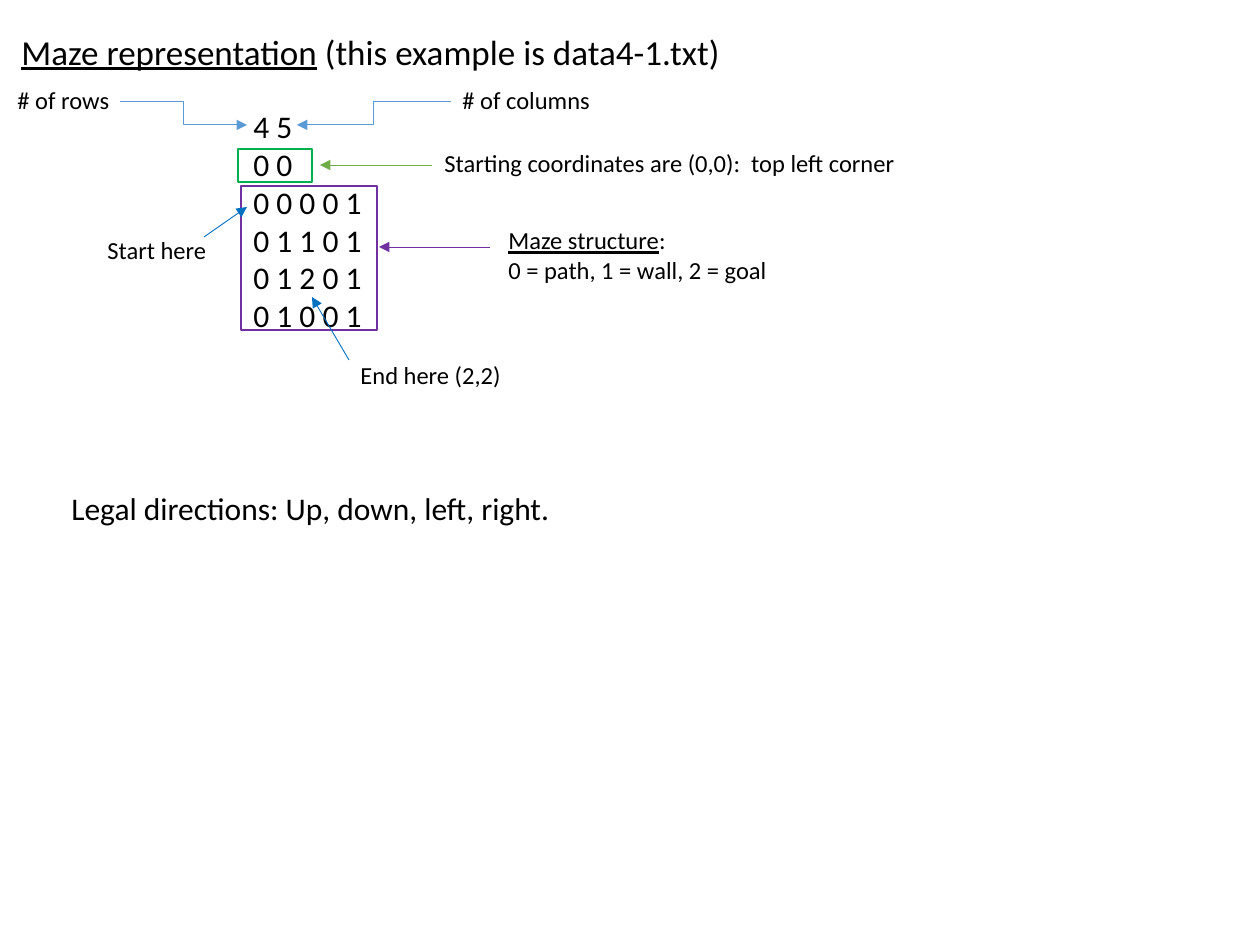
from pptx import Presentation, util as u
from pptx.dml.color import RGBColor
from pptx.enum import shapes, text
from pptx.oxml import parse_xml
from pptx.oxml.ns import nsdecls, qn

PX = 914400 / 126
BLACK = RGBColor(0x00, 0x00, 0x00)
SKY = RGBColor(0x5B, 0x9B, 0xD5)
GREEN = RGBColor(0x00, 0xB0, 0x50)
LEAF = RGBColor(0x70, 0xAD, 0x47)
PURPLE = RGBColor(0x70, 0x30, 0xA0)
BLUE = RGBColor(0x00, 0x70, 0xC0)
ELBOW = shapes.MSO_CONNECTOR.ELBOW
LINE = shapes.MSO_CONNECTOR.STRAIGHT

ROWS = ["4 5", "0 0", "0 0 0 0 1", "0 1 1 0 1", "0 1 2 0 1", "0 1 0 0 1"]


def px(*nums):
    return [u.Emu(round(n * PX)) for n in nums]


def label(area, box, words, size, lead=""):
    """Text box; lead is an underlined opening of the first line."""
    frame = area.add_textbox(*px(*box)).text_frame
    frame.word_wrap = True
    frame.auto_size = text.MSO_AUTO_SIZE.SHAPE_TO_FIT_TEXT
    frame.text = lead or words
    if lead:
        first, *rest = words.split("\n")
        frame.paragraphs[0].runs[0].font.underline = True
        frame.paragraphs[0].add_run().text = first
        for part in rest:
            frame.add_paragraph().text = part
    for para in frame.paragraphs:
        for run in para.runs:
            run.font.name = "Calibri"
            run.font.size = u.Pt(size)
            run.font.color.rgb = BLACK


def frame_box(area, box, color):
    rect = area.add_shape(shapes.MSO_SHAPE.RECTANGLE, *px(*box))
    rect.shadow.inherit = False
    rect.fill.background()
    rect.line.color.rgb = color
    rect.line.width = u.Pt(1)


def arrow(area, kind, start, end, color):
    link = area.add_connector(kind, *px(*start, *end))
    link.line.color.rgb = color
    link.line.width = u.Pt(0.5)
    props = link._element.find(qn("p:spPr"))
    props.find(qn("a:ln")).append(
        parse_xml(f'<a:tailEnd {nsdecls("a")} type="triangle"/>'))
    props.append(parse_xml(f'<a:effectLst {nsdecls("a")}/>'))


def header(slide, box):
    label(slide.shapes, box, " (this example is data4-1.txt)", 20,
          lead="Maze representation")


def maze(slide, left, top):
    area = slide.shapes.add_group_shape().shapes

    def at(x, y, *size):
        return (left + x, top + y, *size)

    # File contents
    label(area, at(236, 22, 321, 239), "\n".join(ROWS), 18)

    # Frames around the start cell and the grid
    frame_box(area, at(233, 70, 74, 33), GREEN)
    frame_box(area, at(236, 107, 136, 144), PURPLE)

    # Arrows from the notes to the file
    for kind, start, end, color in [
        (ELBOW, (446, 22), (292, 46), SKY),
        (ELBOW, (115, 22), (242, 46), SKY),
        (LINE, (427, 86), (315, 86), LEAF),
        (LINE, (485, 168), (374, 168), PURPLE),
        (LINE, (199, 158), (242, 128), BLUE),
        (LINE, (344, 281), (307, 218), BLUE),
    ]:
        arrow(area, kind, at(*start), at(*end), color)

    # Notes
    for x, y, wide, words in [
        (0, 0, 160, "# of rows"),
        (445, 0, 160, "# of columns"),
        (427, 63, 551, "Starting coordinates are (0,0):  top left corner"),
        (90, 150, 160, "Start here"),
        (343, 275, 183, "End here (2,2)"),
    ]:
        label(area, at(x, y, wide, 43), words, 14)
    label(area, at(491, 140, 426, 72), ":\n0 = path, 1 = wall, 2 = goal", 14,
          lead="Maze structure")


def rules(slide, box):
    label(slide.shapes, box, "Legal directions: Up, down, left, right.", 18)


def main():
    deck = Presentation()
    deck.slide_width, deck.slide_height = px(1260, 945)
    slide = deck.slides.add_slide(deck.slide_layouts[6])
    header(slide, (9, 24, 1100, 55))
    maze(slide, 5, 79)
    rules(slide, (59, 483, 815, 50))
    deck.save("out.pptx")


if __name__ == "__main__":
    main()
